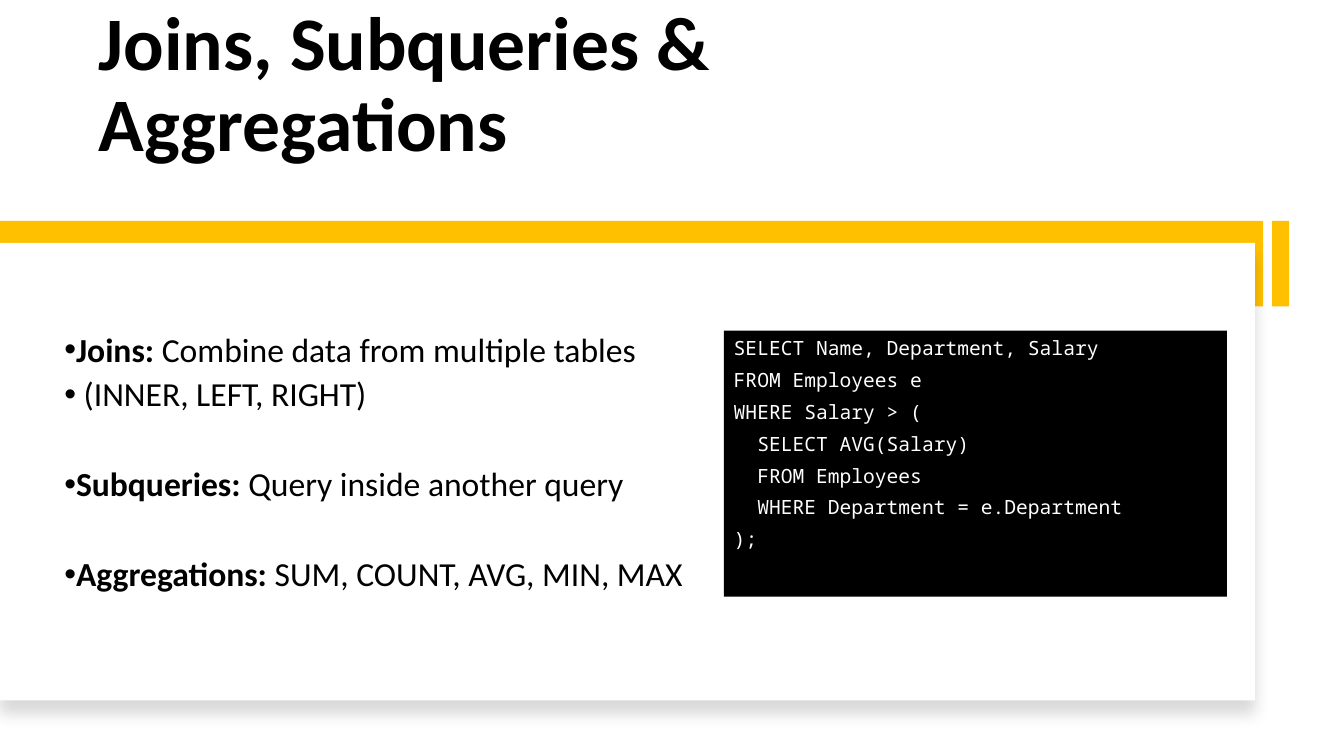
from dataclasses import dataclass

import pptx
import pptx.dml.color
import pptx.enum.shapes
import pptx.enum.text
import pptx.oxml
import pptx.oxml.ns
import pptx.util

Pt = pptx.util.Pt
ANCHOR = pptx.enum.text.MSO_ANCHOR
BLACK, WHITE, GOLD = "000000", "FFFFFF", "FFC000"


@dataclass
class Panel:
    left: float
    top: float
    width: float
    height: float
    color: str


@dataclass
class Topic:
    term: str
    detail: str
    space_after: float


BANNER_TOP, BANNER_HEIGHT = 157.7, 61.2
BANNER = Panel(0, BANNER_TOP, 902.2, BANNER_HEIGHT, GOLD)
BANNER_TAB = Panel(908.7, BANNER_TOP, 12.2, BANNER_HEIGHT, GOLD)
CARD = Panel(0, 173.5, 896.4, 326.9, WHITE)
CODE = Panel(517, 236.2, 359.3, 190.1, BLACK)

TIGHT, WIDE = 6, 38.4
TOPICS = [
    Topic("Joins:", " Combine data from multiple tables", TIGHT),
    Topic("", " (INNER, LEFT, RIGHT)", WIDE),
    Topic("Subqueries:", " Query inside another query", WIDE),
    Topic("Aggregations:", " SUM, COUNT, AVG, MIN, MAX", TIGHT),
]

QUERY = """SELECT Name, Department, Salary
FROM Employees e
WHERE Salary > (
  SELECT AVG(Salary)
  FROM Employees
  WHERE Department = e.Department
);"""


def rgb(color: str) -> pptx.dml.color.RGBColor:
    return pptx.dml.color.RGBColor.from_string(color)


def write(paragraph, text: str, *, size: float, font: str = "Calibri",
          color: str = BLACK, bold: bool = False) -> None:
    run = paragraph.add_run()
    run.text = text
    run.font.size = Pt(size)
    run.font.name = font
    run.font.bold = bold
    run.font.color.rgb = rgb(color)


def format_frame(frame, anchor) -> None:
    frame.word_wrap = True
    frame.auto_size = pptx.enum.text.MSO_AUTO_SIZE.NONE
    frame.vertical_anchor = anchor


def format_paragraph(paragraph, line_spacing: float, space_after: float) -> None:
    paragraph.alignment = pptx.enum.text.PP_ALIGN.LEFT
    paragraph.line_spacing = line_spacing
    paragraph.space_before = Pt(0)
    paragraph.space_after = Pt(space_after)


def next_paragraph(frame, index: int):
    return frame.add_paragraph() if index else frame.paragraphs[0]


def add_bullet(paragraph) -> None:
    properties = paragraph._p.get_or_add_pPr()
    properties.set("marL", "0")
    properties.set("indent", str(-Pt(18)))
    properties.append(pptx.oxml.parse_xml(
        f'<a:buFont {pptx.oxml.ns.nsdecls("a")} typeface="Arial"/>'))
    properties.append(pptx.oxml.parse_xml(
        f'<a:buChar {pptx.oxml.ns.nsdecls("a")} char="•"/>'))


def add_panel(slide, panel: Panel):
    shape = slide.shapes.add_shape(
        pptx.enum.shapes.MSO_SHAPE.RECTANGLE,
        Pt(panel.left), Pt(panel.top), Pt(panel.width), Pt(panel.height))
    shape.fill.solid()
    shape.fill.fore_color.rgb = rgb(panel.color)
    shape.line.fill.background()
    shape.shadow.inherit = False
    return shape


def add_soft_shadow(shape, blur: float, distance: float, opacity: int) -> None:
    effects = shape._element.spPr.find(pptx.oxml.ns.qn("a:effectLst"))
    effects.append(pptx.oxml.parse_xml(
        f'<a:outerShdw {pptx.oxml.ns.nsdecls("a")} blurRad="{Pt(blur)}" '
        f'dist="{Pt(distance)}" dir="5400000" algn="t" rotWithShape="0">'
        f'<a:srgbClr val="{BLACK}"><a:alpha val="{opacity * 1000}"/></a:srgbClr>'
        '</a:outerShdw>'))


def main() -> None:
    deck = pptx.Presentation()
    deck.slide_width, deck.slide_height = Pt(960), Pt(540)
    slide = deck.slides.add_slide(deck.slide_layouts[5])

    # Title
    title = slide.shapes.title
    title.left, title.top = Pt(63.4), Pt(30.2)
    title.width, title.height = Pt(727.2), Pt(93.6)
    format_frame(title.text_frame, ANCHOR.BOTTOM)
    heading = title.text_frame.paragraphs[0]
    format_paragraph(heading, 0.9, 0)
    write(heading, "Joins, Subqueries & Aggregations", size=54, bold=True)

    # Gold banner and white card
    add_panel(slide, BANNER_TAB)
    add_panel(slide, BANNER)
    add_soft_shadow(add_panel(slide, CARD), blur=11, distance=10, opacity=15)

    # Topics
    topics = slide.shapes.add_textbox(Pt(38.9), Pt(195.8), Pt(798.5), Pt(270.7))
    format_frame(topics.text_frame, ANCHOR.MIDDLE)
    for index, topic in enumerate(TOPICS):
        paragraph = next_paragraph(topics.text_frame, index)
        format_paragraph(paragraph, 0.9, topic.space_after)
        add_bullet(paragraph)
        if topic.term:
            write(paragraph, topic.term, size=24, bold=True)
        write(paragraph, topic.detail, size=24)

    # Sample query
    code = add_panel(slide, CODE)
    format_frame(code.text_frame, ANCHOR.TOP)
    for index, line in enumerate(QUERY.splitlines()):
        paragraph = next_paragraph(code.text_frame, index)
        format_paragraph(paragraph, 1.0, 6)
        write(paragraph, line, size=14, font="Noto Sans Mono", color=WHITE)

    deck.save("out.pptx")


if __name__ == "__main__":
    main()
